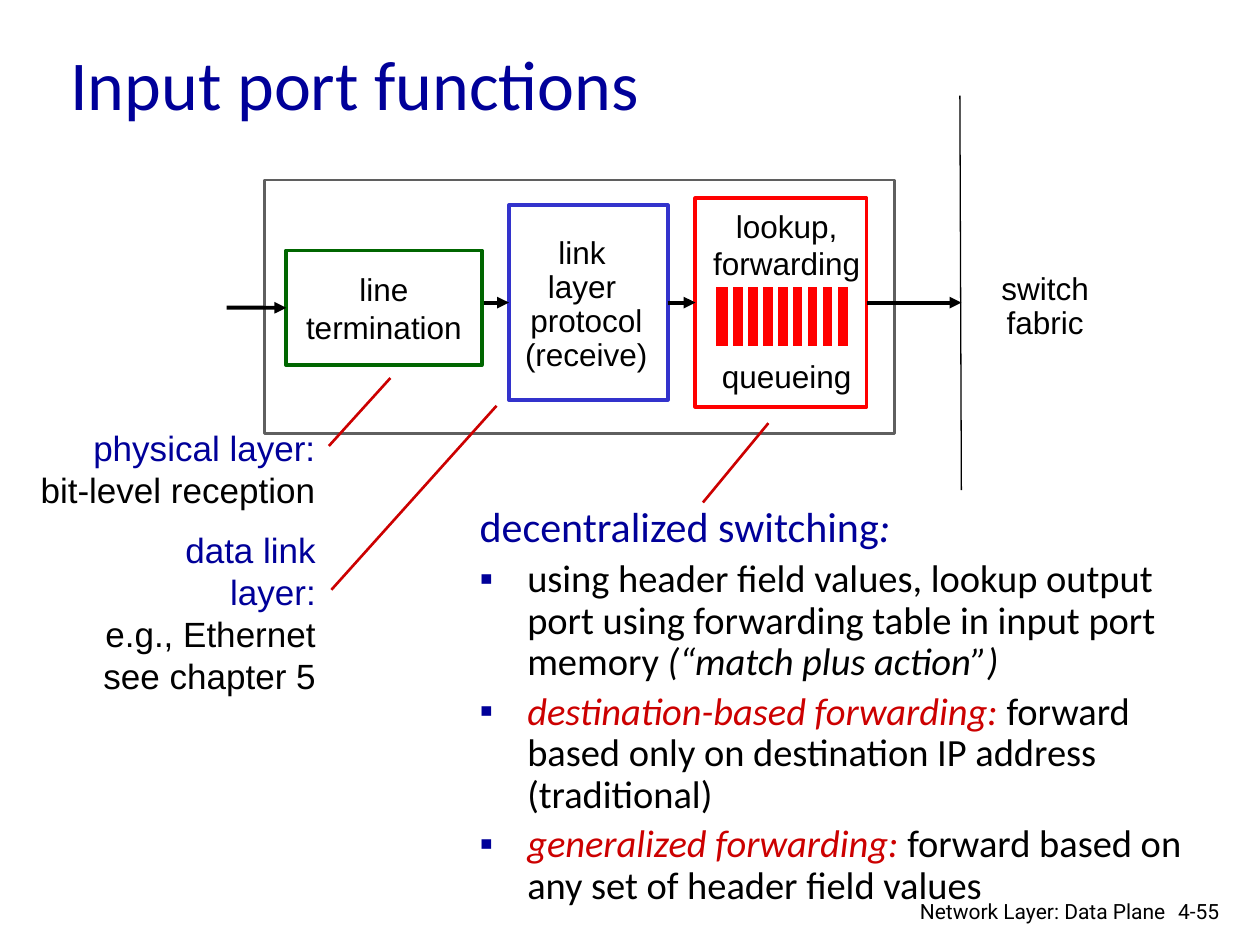
from lxml import etree
from pptx import Presentation, util as u
from pptx.dml.color import RGBColor
from pptx.enum import shapes, text
from pptx.oxml.ns import qn

BLACK, WHITE, NAVY, RED = "000000", "FFFFFF", "000099", "CC0000"
LEFT, MID, RIGHT = text.PP_ALIGN.LEFT, text.PP_ALIGN.CENTER, text.PP_ALIGN.RIGHT
TOP, MIDDLE = text.MSO_ANCHOR.TOP, text.MSO_ANCHOR.MIDDLE

# Content: a paragraph is a list of (words, colour, italic); lengths are in cm
BOXES = {  # name: (left, top, width, height), line colour, line width, lines
    "port": ((5.33, 3.63, 12.7, 5.11), "5F5F5F", 1.5, []),
    "termination": ((5.77, 5.05, 3.94, 2.31), "006600", 2.25, ["line", "termination"]),
    "link": ((10.26, 4.14, 3.2, 3.92), "3333CC", 2.25, []),
    "lookup": ((14.02, 4.0, 3.45, 4.2), "FF0000", 2.25, []),
}
ARROWS = [  # start, end, box at start, box at end
    ((4.57, 6.2), (5.77, 6.2), None, "termination"),
    ((9.75, 6.1), (10.26, 6.1), None, "link"),
    ((13.46, 6.1), (14.02, 6.1), "link", "lookup"),
    ((17.47, 6.1), (19.38, 6.1), "lookup", None),
]
LABELS = [  # opaque labels
    ((10.36, 5.0, 2.92, 2.31), ["link ", "layer ", "protocol", "(receive)"]),
    ((19.61, 5.05, 2.92, 2.31), ["switch", "fabric"]),
]
LAYERS = [
    ((0.56, 8.48, 6.05, 1.96), ["physical layer:", "bit-level reception"]),
    ((1.57, 10.52, 5.05, 2.79), ["data link layer:", "e.g., Ethernet", "see chapter 5"]),
]
POINTERS = [
    ((6.63, 8.99), (7.87, 7.62)),
    ((6.68, 11.89), (10.01, 8.18)),
    ((14.17, 10.13), (15.49, 8.53)),
]
HEADING = [("decentralized switching", NAVY, False), (":", NAVY, True)]
BULLETS = [
    [("using header field values, lookup output port using forwarding table "
      "in input port memory ", BLACK, False),
     ("(“match plus action”)", BLACK, True)],
    [("destination-based forwarding: ", RED, True),
     ("forward based only on destination IP address (traditional)", BLACK, False)],
    [("generalized forwarding: ", RED, True),
     ("forward based on any set of header field values", BLACK, False)],
]
FOOTERS = [
    ((23.5, 17.98, 1.55, 0.76), "4-55", LEFT),
    ((17.7, 17.98, 6.05, 0.66), "Network Layer: Data Plane", RIGHT),
]


def rgb(value):
    return RGBColor.from_string(value)


def cm(values):
    return [u.Cm(v) for v in values]


def plain(lines, color=BLACK):
    return [[(line, color, False)] for line in lines]


def set_all(obj, values):
    for name, value in values.items():
        setattr(obj, name, value)


def write(sp, paras, size, font="Arial", wrap=False, anchor=TOP, **fmt):
    tf = sp.text_frame
    set_all(tf, {"word_wrap": wrap, "vertical_anchor": anchor})
    for i, runs in enumerate(paras):
        p = tf.paragraphs[0] if i == 0 else tf.add_paragraph()
        set_all(p, fmt)
        for words, color, italic in runs:
            r = p.add_run()
            r.text = words
            set_all(r.font, {"size": u.Pt(size), "name": font, "italic": italic})
            r.font.color.rgb = rgb(color)
    return tf.paragraphs


def box(parent, at, fill=WHITE, line=None, width=0):
    sp = parent.add_shape(shapes.MSO_SHAPE.RECTANGLE, *cm(at))
    sp.shadow.inherit = False
    sp.fill.solid()
    sp.fill.fore_color.rgb = rgb(fill)
    if line:
        sp.line.color.rgb = rgb(line)
        sp.line.width = u.Pt(width)
    else:
        sp.line.fill.background()
    return sp


def connect(parent, start, end, color, width, arrow=False):
    c = parent.add_connector(shapes.MSO_CONNECTOR.STRAIGHT, *cm(start + end))
    c.line.color.rgb = rgb(color)
    c.line.width = u.Pt(width)
    if arrow:
        etree.SubElement(c.line._get_or_add_ln(), qn("a:tailEnd"), type="triangle")
    etree.SubElement(c._element.spPr, qn("a:effectLst"))
    return c


def bullet(p):
    pPr = p._p.get_or_add_pPr()
    color = etree.SubElement(pPr, qn("a:buClr"))
    etree.SubElement(color, qn("a:srgbClr"), val=NAVY)
    etree.SubElement(pPr, qn("a:buFont"), typeface="Arial")
    etree.SubElement(pPr, qn("a:buChar"), char="▪")


prs = Presentation()
prs.slide_width, prs.slide_height = u.Cm(25.4), u.Cm(19.05)
s = prs.slides.add_slide(prs.slide_layouts[6]).shapes

# Port boxes and the arrows through them
placed = {}
for name, (at, color, width, lines) in BOXES.items():
    placed[name] = box(s, at, WHITE, color, width)
    if lines:
        write(placed[name], plain(lines), 18, anchor=MIDDLE, alignment=MID)
for start, end, source, target in ARROWS:
    c = connect(s, start, end, BLACK, 2.25, arrow=True)
    if source:
        c.begin_connect(placed[source], 3)
    if target:
        c.end_connect(placed[target], 1)

# Labels in the diagram; the queue sits in the gap above "queueing"
for at, lines in LABELS:
    write(box(s, at), plain(lines), 18, anchor=MIDDLE, alignment=MID, line_spacing=0.9)
paras = write(s.add_textbox(*cm((14.12, 4.04, 3.48, 4.06))),
              plain(["lookup,", "forwarding", "queueing"]), 18, alignment=MID)
paras[2].space_before = u.Pt(43)

# Title
write(s.add_textbox(*cm((1.17, 0.81, 21.59, 1.7))), plain(["Input port functions"], NAVY),
      40, "Calibri", True, MIDDLE)

# Explanation of switching
paras = write(s.add_textbox(*cm((9.42, 10.08, 15.16, 7.42))), [HEADING] + BULLETS,
              22, "Calibri", True, line_spacing=0.9)
for r in paras[0].runs:
    r.font.size = u.Pt(24)
for p in paras:
    pPr = p._p.get_or_add_pPr()
    pPr.set("marL", str(u.Cm(0.96)))
    pPr.set("indent", str(-u.Cm(0.96)))
for p in paras[1:]:
    p.space_before = u.Pt(4.5)
    bullet(p)

# Layer captions: first line is the heading
for at, (head, *rest) in LAYERS:
    write(s.add_textbox(*cm(at)), plain([head], NAVY) + plain(rest), 20, alignment=RIGHT)

# Switch fabric edge
connect(s, (19.35, 1.93), (19.38, 9.88), BLACK, 0.75)

# Queue: red bar cut by eight white dividers
queue = s.add_group_shape().shapes
box(queue, (14.38, 5.74, 2.77, 1.3), "FF0000", WHITE, 3)
for i in range(8):
    x = 14.73 + 0.3 * i
    connect(queue, (x, 5.76), (x, 7.01), WHITE, 3)

# Pointers from captions to boxes
for start, end in POINTERS:
    connect(s, start, end, RED, 1.5)

# Footer
for at, words, align in FOOTERS:
    write(s.add_textbox(*cm(at)), plain([words]), 12, "Roboto", True, alignment=align)

prs.save("out.pptx")
